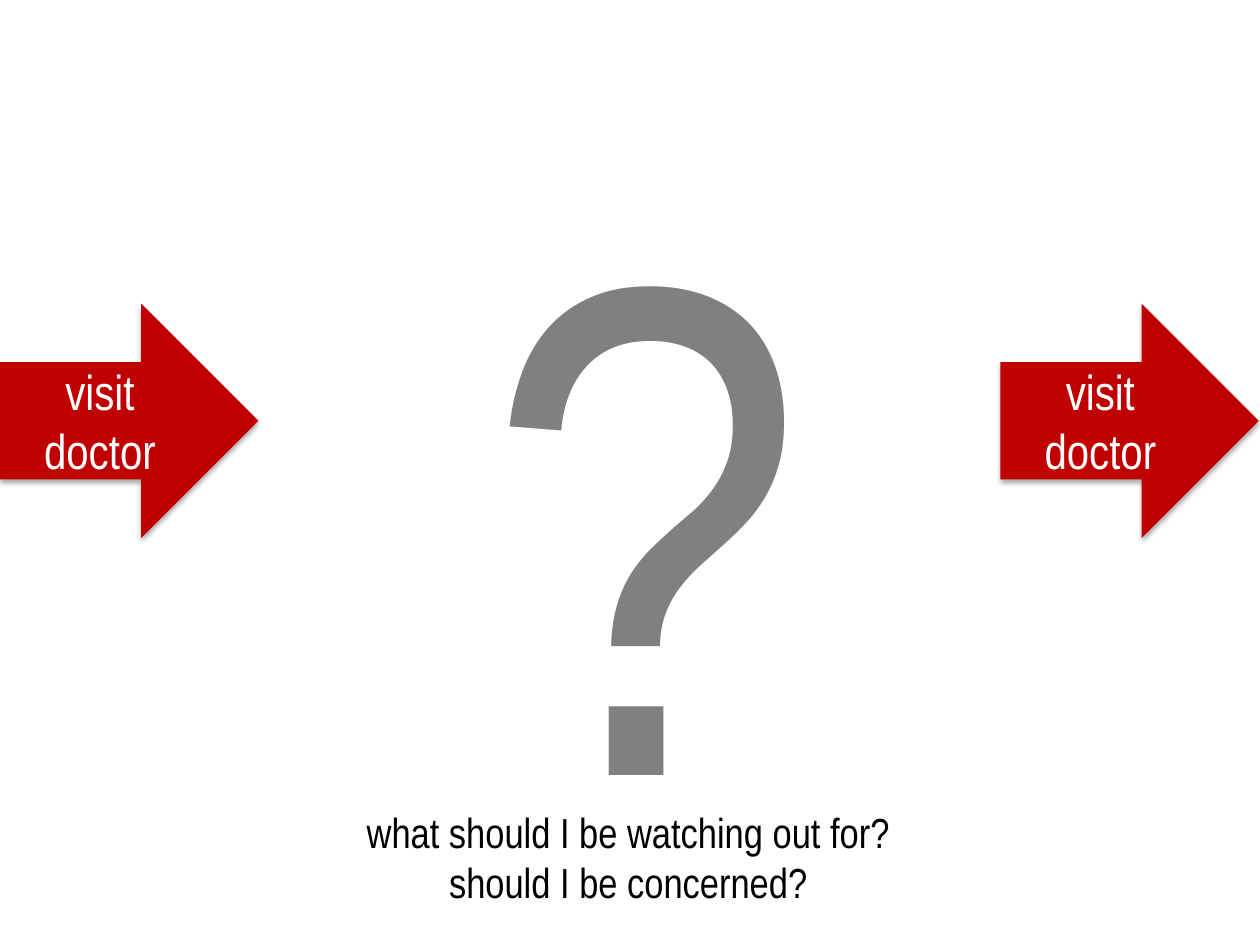
from lxml import etree
from pptx import Presentation
from pptx import util as u
from pptx.dml.color import RGBColor
from pptx.enum import shapes, text
from pptx.oxml import ns

COLORS = {"red": "C00000", "gray": "808080", "black": "000000", "white": "FFFFFF"}
FONT = "Arial Narrow"


def color(name):
    """Return the named colour."""
    return RGBColor.from_string(COLORS[name])


def write(shape, words, size, tone, align):
    """Fill a shape with wrapped text in one style."""
    frame = shape.text_frame
    frame.word_wrap = True
    frame.text = words
    for para in frame.paragraphs:
        para.alignment = align
        for run in para.runs:
            run.font.name = FONT
            run.font.size = u.Pt(size)
            run.font.color.rgb = color(tone)


def shade(shape):
    """Give a shape a soft shadow straight below it."""
    shape.shadow.inherit = False
    effects = shape._element.spPr.find(ns.qn("a:effectLst"))
    drop = etree.SubElement(
        effects, ns.qn("a:outerShdw"), blurRad=str(u.Pt(3.1)),
        dist=str(u.Pt(1.8)), dir="5400000", rotWithShape="0")
    tone = etree.SubElement(drop, ns.qn("a:srgbClr"), val=COLORS["black"])
    etree.SubElement(tone, ns.qn("a:alpha"), val="35000")


def add_text(slide, box, words, size, tone, align):
    """Add a text box."""
    shape = slide.shapes.add_textbox(*map(u.Inches, box))
    write(shape, words, size, tone, align)
    shape.text_frame.auto_size = text.MSO_AUTO_SIZE.SHAPE_TO_FIT_TEXT


def add_visit(slide, left):
    """Add a red arrow that marks a visit to the doctor."""
    box = map(u.Inches, (left, 2.41, 2.05, 1.86))
    arrow = slide.shapes.add_shape(shapes.MSO_SHAPE.RIGHT_ARROW, *box)
    arrow.fill.solid()
    arrow.fill.fore_color.rgb = color("red")
    arrow.line.fill.background()
    shade(arrow)
    write(arrow, "visit doctor", 28, "white", text.PP_ALIGN.CENTER)
    arrow.text_frame.vertical_anchor = text.MSO_ANCHOR.MIDDLE


def main():
    """Build the slide and save it."""
    deck = Presentation()
    deck.slide_width, deck.slide_height = u.Inches(10), u.Inches(7.5)
    slide = deck.slides.add_slide(deck.slide_layouts[6])
    asks = "what should I be watching out for?\nshould I be concerned?"
    add_text(slide, (1.97, 6.35, 6.03, 0.91), asks, 24, "black",
             text.PP_ALIGN.CENTER)
    for left in (0, 7.94):
        add_visit(slide, left)
    add_text(slide, (3.76, 0.55, 1.73, 6.83), "?", 400, "gray",
             text.PP_ALIGN.LEFT)
    deck.save("out.pptx")


if __name__ == "__main__":
    main()
